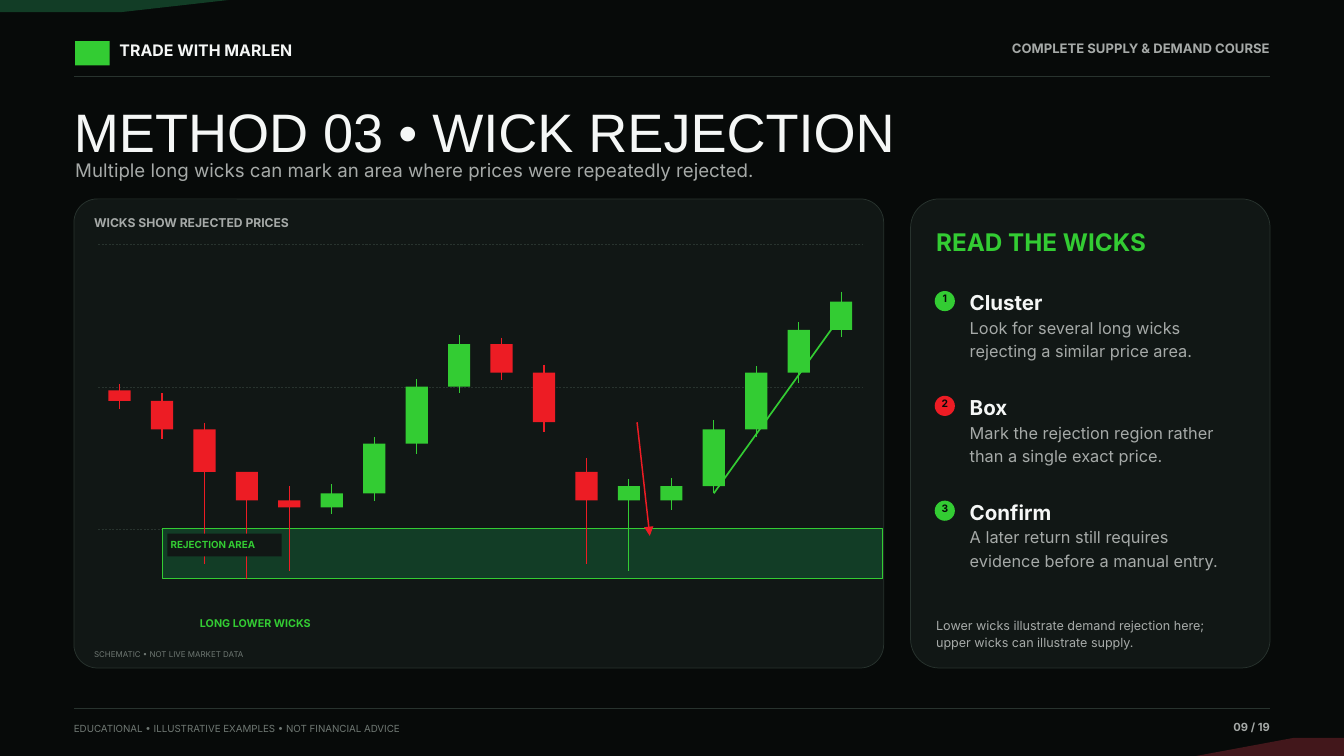
from lxml import etree
from pptx import Presentation
from pptx.dml.color import RGBColor
from pptx.enum import dml, shapes, text
from pptx.oxml import ns
from pptx.util import Pt

BLACK = RGBColor(0x07, 0x0A, 0x09)
PANEL = RGBColor(0x11, 0x17, 0x15)
RULE = RGBColor(0x28, 0x33, 0x2E)
GREEN = RGBColor(0x33, 0xCC, 0x33)
RED = RGBColor(0xED, 0x1C, 0x24)
FOREST = RGBColor(0x12, 0x3D, 0x26)
WINE = RGBColor(0x42, 0x17, 0x1B)
WHITE = RGBColor(0xF5, 0xF7, 0xF6)
GREY = RGBColor(0xA6, 0xAA, 0xA8)
DIM = RGBColor(0x6F, 0x78, 0x73)

LEFT, RIGHT, CENTER = text.PP_ALIGN.LEFT, text.PP_ALIGN.RIGHT, text.PP_ALIGN.CENTER
KIND = shapes.MSO_SHAPE

# Content
TITLE = "METHOD 03 • WICK REJECTION"
# x, y, width, height, lines, size, colour, bold, alignment
FRAME = [
    (128, 40.3, 281, 24, ["TRADE WITH MARLEN"], 17, WHITE, True, LEFT),
    (1008, 40.3, 352.8, 23, ["COMPLETE SUPPLY & DEMAND COURSE"], 14, GREY, True, RIGHT),
    (79.2, 771.8, 576, 18, ["EDUCATIONAL • ILLUSTRATIVE EXAMPLES • NOT FINANCIAL ADVICE"],
     10.5, DIM, False, LEFT),
    (1238.4, 769, 122.4, 20, ["09 / 19"], 12, GREY, True, RIGHT),
    (80.6, 165.6, 1238, 31, ["Multiple long wicks can mark an area where prices were "
                             "repeatedly rejected."], 20, GREY, False, LEFT),
]
NOTES = [
    (100.8, 227.5, 824, 20, ["WICKS SHOW REJECTED PRICES"], 13, GREY, True, LEFT),
    (100.8, 694, 824, 13, ["SCHEMATIC • NOT LIVE MARKET DATA"], 8.5, DIM, False, LEFT),
    (182.9, 575.3, 115, 18, ["REJECTION AREA"], 10.5, GREEN, True, LEFT),
    (180, 658, 187.2, 22, ["LONG LOWER WICKS"], 11.5, GREEN, True, CENTER),
]
ASIDE = [
    (1003, 237.6, 331, 49, ["READ THE WICKS"], 26, GREEN, True, LEFT),
    (1003, 658.8, 326, 35, ["Lower wicks illustrate demand rejection here;",
                            "upper wicks can illustrate supply."], 13.5, GREY, False, LEFT),
]
STEPS = [
    ("Cluster", ["Look for several long wicks", "rejecting a similar price area."], GREEN),
    ("Box", ["Mark the rejection region rather", "than a single exact price."], RED),
    ("Confirm", ["A later return still requires", "evidence before a manual entry."], GREEN),
]
# open, high, low, close, counted from the top of the rejection area
CANDLES = [
    (19.5, 20.4, 16.8, 18), (18, 19.1, 12.7, 14), (14, 14.9, -5, 8),
    (8, 7, -7, 4), (4, 6, -6, 3), (3, 6.3, 2.1, 5),
    (5, 12.9, 3.9, 12), (12, 21.1, 10.6, 20), (20, 27.3, 19.1, 26),
    (26, 26.9, 20.9, 22), (22, 23.1, 13.6, 15), (8, 10, -5, 4),
    (4, 7, -6, 6), (4, 7.1, 2.6, 6), (6, 15.3, 5.1, 14),
    (14, 22.9, 12.9, 22), (22, 29.1, 20.6, 28), (28, 33.4, 27, 32),
]
GRID = [0, 20, 40]
ZONE = -7

# Chart scale
BASE, UNIT = 566.6, 7.61
START, STEP, BODY = 128.1, 45.48, 23.8

deck = Presentation()
deck.slide_width, deck.slide_height = Pt(1440), Pt(810)
slide = deck.slides.add_slide(deck.slide_layouts[5])
slide.background.fill.solid()
slide.background.fill.fore_color.rgb = BLACK
items = slide.shapes


def paint(shape, fill, edge=None, width=0.8):
    shape.shadow.inherit = False
    shape.fill.solid()
    shape.fill.fore_color.rgb = fill
    if edge is None:
        shape.line.fill.background()
    else:
        shape.line.color.rgb = edge
        shape.line.width = Pt(width)
    return shape


def block(kind, x, y, w, h, fill, edge=None, width=0.8):
    shape = items.add_shape(kind, Pt(x), Pt(y), Pt(w), Pt(h))
    return paint(shape, fill, edge, width)


def panel(x, w, bend):
    block(KIND.ROUNDED_RECTANGLE, x, 213.1, w, 502.6, PANEL, RULE).adjustments[0] = bend


def wedge(points, fill):
    path = items.build_freeform(Pt(points[0][0]), Pt(points[0][1]))
    path.add_line_segments([(Pt(x), Pt(y)) for x, y in points[1:]])
    paint(path.convert_to_shape(), fill)


def line(x1, y1, x2, y2, color, width, dash=False, arrow=False):
    link = items.add_connector(shapes.MSO_CONNECTOR.STRAIGHT, Pt(x1), Pt(y1), Pt(x2), Pt(y2))
    link.line.color.rgb = color
    link.line.width = Pt(width)
    if dash:
        link.line.dash_style = dml.MSO_LINE.DASH
    if arrow:
        etree.SubElement(link.line._get_or_add_ln(), ns.qn("a:tailEnd"),
                         type="triangle", w="lg", len="lg")
    etree.SubElement(link._element.spPr, ns.qn("a:effectLst"))


def write(shape, lines, size, color, bold, align, font="Inter", lead=1.18):
    frame = shape.text_frame
    frame.margin_left = frame.margin_right = frame.margin_top = frame.margin_bottom = 0
    frame.word_wrap = True
    frame.auto_size = text.MSO_AUTO_SIZE.NONE
    frame.vertical_anchor = text.MSO_ANCHOR.TOP
    frame.text = "\n".join(lines)
    for para in frame.paragraphs:
        para.alignment, para.line_spacing = align, lead
        para.font.name, para.font.size = font, Pt(size)
        para.font.bold, para.font.color.rgb = bold, color


def label(x, y, w, h, *style):
    write(items.add_textbox(Pt(x), Pt(y), Pt(w), Pt(h)), *style)


def level(price):
    return BASE - price * UNIT


def column(i):
    return START + i * STEP


# Corner wedges, brand mark and rules
wedge([(0, 0), (244.8, 0), (129.6, 13), (0, 13)], FOREST)
wedge([(1440, 810), (1281.6, 810), (1386, 790.6), (1440, 790.6)], WINE)
block(KIND.RECTANGLE, 80.6, 44, 37, 26, GREEN)
for y in (81.4, 758.9):
    line(79.2, y, 1360.8, y, RULE, 0.8)

# Title, header and footer
title = items.title
title.left, title.top, title.width, title.height = Pt(79.2), Pt(105.1), Pt(1281.6), Pt(63.4)
write(title, [TITLE], 58, WHITE, False, LEFT, "Arial", 1)
for spec in FRAME:
    label(*spec)

# Chart panel, grid and rejection area
panel(79.2, 867.6, 0.05)
for price in GRID:
    line(105.1, level(price), 923.8, level(price), RULE, 0.55, dash=True)
block(KIND.RECTANGLE, 174.2, BASE, 771.1, -ZONE * UNIT, FOREST, GREEN, 0.9)

# Candles
for i, (start, high, low, end) in enumerate(CANDLES):
    tone = GREEN if end > start else RED
    line(column(i), level(high), column(i), level(low), tone, 1.15)
    block(KIND.RECTANGLE, column(i) - BODY / 2, level(max(start, end)), BODY,
          abs(end - start) * UNIT, tone)

# Chart labels and arrows
block(KIND.RECTANGLE, 179.3, 571.7, 122.4, 24.5, PANEL)
for note in NOTES:
    label(*note)
line(682.6, level(15), 696.2, level(-1), RED, 1.6, arrow=True)
line(column(14), level(5), column(17), level(30), GREEN, 1.8, arrow=True)

# Side panel with numbered steps
panel(975.6, 385.2, 0.08)
for note in ASIDE:
    label(*note)
for i, (head, lines, tone) in enumerate(STEPS):
    y = 306 + i * 112.3
    block(KIND.OVAL, 1001.5, y + 5.8, 21.6, 21.6, tone)
    label(1003, y + 5, 18.7, 16.6, [str(i + 1)], 11, BLACK, True, CENTER)
    label(1039, y, 290, 26, [head], 22, WHITE, True, LEFT)
    label(1039, y + 31, 290, 78, lines, 17.5, GREY, False, LEFT)

deck.save("out.pptx")
